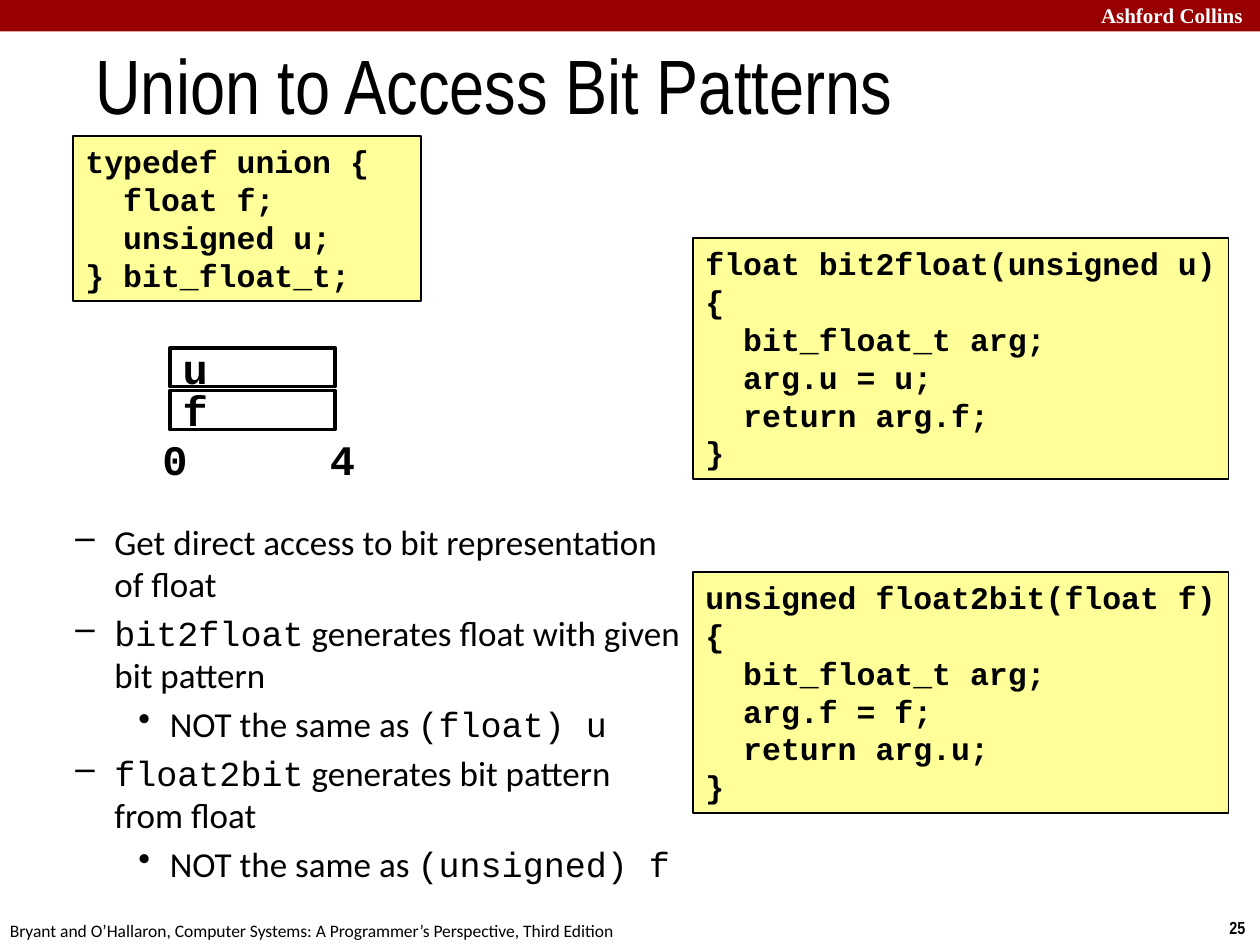
from pptx import Presentation, util as u
from pptx.dml.color import RGBColor
from pptx.enum import shapes, text
from pptx.oxml import parse_xml
from pptx.oxml.ns import nsdecls

THEME = {
    "band": "990000", "code": "FFFF99", "paper": "FFFFFF", "ink": "000000",
    "title": ("Arial Narrow", 44), "body": ("Calibri", 20), "mono": ("Courier New", 20),
    "listing": ("Courier New", 18), "field": ("Courier New", 24),
    "school": ("Times New Roman", 12), "number": ("Arial Narrow", 10),
    "footer": ("Calibri", 10),
}

# text, box, style, bold, colour, wrap
LABELS = [
    ("Ashford Collins", (8.64, -0.03, 1.43, 0.3), "school", True, "paper", False),
    ("25", (9.66, 7.23, 0.34, 0.27), "number", True, "ink", False),
    ("Bryant and O’Hallaron, Computer Systems: A Programmer’s Perspective, Third Edition",
     (-0.02, 7.25, 5.08, 0.27), "footer", False, "ink", False),
    ("Union to Access Bit Patterns", (0.66, 0.25, 10, 0.63), "title", False, "ink", True),
]

LISTINGS = [
    ((0.58, 1.08, 2.76, 1.31),
     "typedef union {\n  float f;\n  unsigned u;\n} bit_float_t;"),
    ((5.5, 1.89, 4.25, 1.91),
     "float bit2float(unsigned u) {\n  bit_float_t arg;\n  arg.u = u;\n  return arg.f;\n}"),
    ((5.5, 4.54, 4.25, 1.91),
     "unsigned float2bit(float f) {\n  bit_float_t arg;\n  arg.f = f;\n  return arg.u;\n}"),
]

FIELDS = ["u", "f"]
FIELD_BOX, FIELD_PITCH = (1.35, 2.76, 1.31, 0.31), 0.34
OFFSETS = [("0", 1.19), ("4", 2.52)]

# level, runs of (style, text)
BULLETS = [
    (1, [("body", "Get direct access to bit representation of float")]),
    (1, [("mono", "bit2float"), ("body", " generates float with given bit pattern")]),
    (2, [("body", "NOT the same as "), ("mono", "(float) u")]),
    (1, [("mono", "float2bit"), ("body", " generates bit pattern from float")]),
    (2, [("body", "NOT the same as "), ("mono", "(unsigned) f")]),
]
LEVELS = {1: ("–", 0.81, -0.31), 2: ("•", 1.25, -0.25)}


def rgb(name):
    return RGBColor.from_string(THEME[name])


def style_run(r, style, bold=False, color="ink"):
    r.font.name, size = THEME[style]
    r.font.size = u.Pt(size)
    r.font.bold = bold
    r.font.color.rgb = rgb(color)


def write(sp, content, style, bold=False, color="ink", align=text.PP_ALIGN.LEFT,
          anchor=text.MSO_ANCHOR.TOP, wrap=True):
    tf = sp.text_frame
    tf.text = content
    tf.word_wrap = wrap
    tf.vertical_anchor = anchor
    for p in tf.paragraphs:
        p.alignment = align
        for r in p.runs:
            style_run(r, style, bold, color)


def add_box(s, box, fill, line=None):
    sp = s.shapes.add_shape(shapes.MSO_SHAPE.RECTANGLE, *map(u.Inches, box))
    sp.shadow.inherit = False
    sp.fill.solid()
    sp.fill.fore_color.rgb = rgb(fill)
    if line:
        sp.line.color.rgb = rgb("ink")
        sp.line.width = u.Pt(line)
    else:
        sp.line.fill.background()
    return sp


def add_text(s, box):
    return s.shapes.add_textbox(*map(u.Inches, box))


def set_bullet(p, level):
    mark, left, hanging = LEVELS[level]
    p.level = level
    p.space_before = u.Pt(4)
    pPr = p._p.get_or_add_pPr()
    pPr.set("marL", str(u.Inches(left)))
    pPr.set("indent", str(u.Inches(hanging)))
    pPr.append(parse_xml(f'<a:buChar {nsdecls("a")} char="{mark}"/>'))


def add_bullets(s, box):
    tf = add_text(s, box).text_frame
    tf.word_wrap = True
    for i, (level, runs) in enumerate(BULLETS):
        p = tf.add_paragraph() if i else tf.paragraphs[0]
        set_bullet(p, level)
        for style, words in runs:
            r = p.add_run()
            r.text = words
            style_run(r, style)


def main():
    prs = Presentation()
    prs.slide_width, prs.slide_height = u.Inches(10), u.Inches(7.5)
    s = prs.slides.add_slide(prs.slide_layouts[6])

    add_box(s, (0, 0, 10, 0.25), "band")
    for words, box, style, bold, color, wrap in LABELS:
        write(add_text(s, box), words, style, bold, color, wrap=wrap)
    for box, code in LISTINGS:
        write(add_box(s, box, "code", 1), code, "listing", True)

    left, top, width, height = FIELD_BOX
    for i, name in enumerate(FIELDS):
        sp = add_box(s, (left, top + i * FIELD_PITCH, width, height), "paper", 2)
        write(sp, name, "field", True, anchor=text.MSO_ANCHOR.MIDDLE)
    for offset, x in OFFSETS:
        write(add_text(s, (x, 3.39, 0.35, 0.4)), offset, "field", True,
              align=text.PP_ALIGN.RIGHT, wrap=False)

    add_bullets(s, (0, 4.08, 5.5, 3.08))
    prs.save("out.pptx")


if __name__ == "__main__":
    main()
